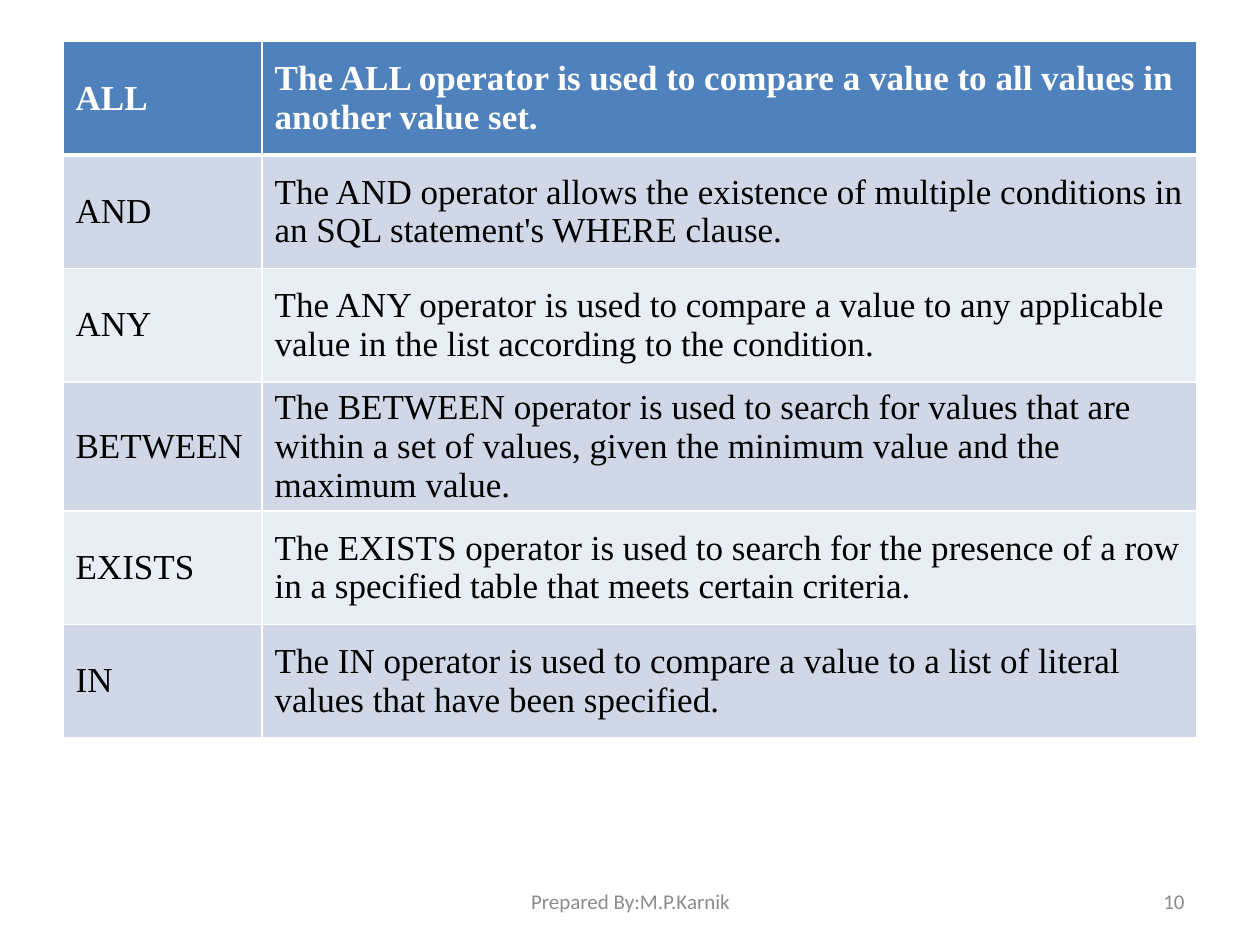
from pptx import Presentation
from pptx.dml.color import RGBColor as RGB
from pptx.enum.text import MSO_ANCHOR as Anchor, PP_ALIGN as Align
from pptx.oxml.ns import qn
from pptx.util import Inches, Pt
from lxml.etree import SubElement as Sub

WHITE = RGB(0xFF, 0xFF, 0xFF)
BLACK = RGB(0, 0, 0)
GRAY = RGB(0x8C, 0x8C, 0x8C)
BLUE = RGB(0x4F, 0x81, 0xBD)
BANDS = (RGB(0xE9, 0xED, 0xF4), RGB(0xD0, 0xD8, 0xE8))

WIDE, HIGH = Inches(10), Inches(7.5)
EDGE = 0.05
COLS = (1.58, 7.42)
ROW = 0.9
ROWS = (
    ("ALL", "The ALL operator is used to compare a value to all values in another value set."),
    ("AND", "The AND operator allows the existence of multiple conditions in an SQL statement's WHERE clause."),
    ("ANY", "The ANY operator is used to compare a value to any applicable value in the list according to the condition."),
    ("BETWEEN", "The BETWEEN operator is used to search for values that are within a set of values, given the minimum value and the maximum value."),
    ("EXISTS", "The EXISTS operator is used to search for the presence of a row in a specified table that meets certain criteria."),
    ("IN", "The IN operator is used to compare a value to a list of literal values that have been specified."),
)


def write(frame, text, face="Calibri", size=12, color=GRAY, bold=False, align=Align.LEFT):
    frame.word_wrap = True
    para = frame.paragraphs[0]
    para.alignment = align
    run = para.add_run()
    run.text = text
    font = run.font
    font.name, font.size, font.bold = face, Pt(size), bold
    font.color.rgb = color


def rule(cell, side, width):
    props = cell._tc.get_or_add_tcPr()
    line = Sub(props, qn(f"a:ln{side}"), w=str(Pt(width)))
    fill = Sub(line, qn("a:solidFill"))
    Sub(fill, qn("a:srgbClr"), val=str(WHITE))


def style(cell, text, row):
    head = row == 0
    widths = {"L": 1, "R": 1, "T": 3 if row == 1 else 1, "B": 3 if head else 1}
    for side, width in widths.items():
        rule(cell, side, width)
    cell.fill.solid()
    cell.fill.fore_color.rgb = BLUE if head else BANDS[row % 2]
    cell.vertical_anchor = Anchor.MIDDLE
    write(cell.text_frame, text, face="Times New Roman", size=20,
          color=WHITE if head else BLACK, bold=head)


def grid(slide):
    frame = slide.shapes.add_table(
        len(ROWS), len(COLS), int(WIDE * EDGE), Inches(0.33),
        Inches(sum(COLS)), Inches(ROW * len(ROWS)))
    table = frame.table
    for col, width in zip(table.columns, COLS):
        col.width = Inches(width)
    for row, texts in enumerate(ROWS):
        table.rows[row].height = Inches(ROW)
        for col, text in enumerate(texts):
            style(table.cell(row, col), text, row)


def footer(slide, text, left, width, align):
    box = slide.shapes.add_textbox(
        int(WIDE * left), Inches(6.95), int(WIDE * width), Inches(0.4))
    box.text_frame.vertical_anchor = Anchor.MIDDLE
    write(box.text_frame, text, align=align)


def main():
    deck = Presentation()
    deck.slide_width, deck.slide_height = WIDE, HIGH
    slide = deck.slides.add_slide(deck.slide_layouts[6])
    grid(slide)
    footer(slide, "10", 7.17 / 10, 2.33 / 10, Align.RIGHT)
    footer(slide, "Prepared By:M.P.Karnik", 3.42 / 10, 3.17 / 10, Align.CENTER)
    deck.save("out.pptx")


if __name__ == "__main__":
    main()
